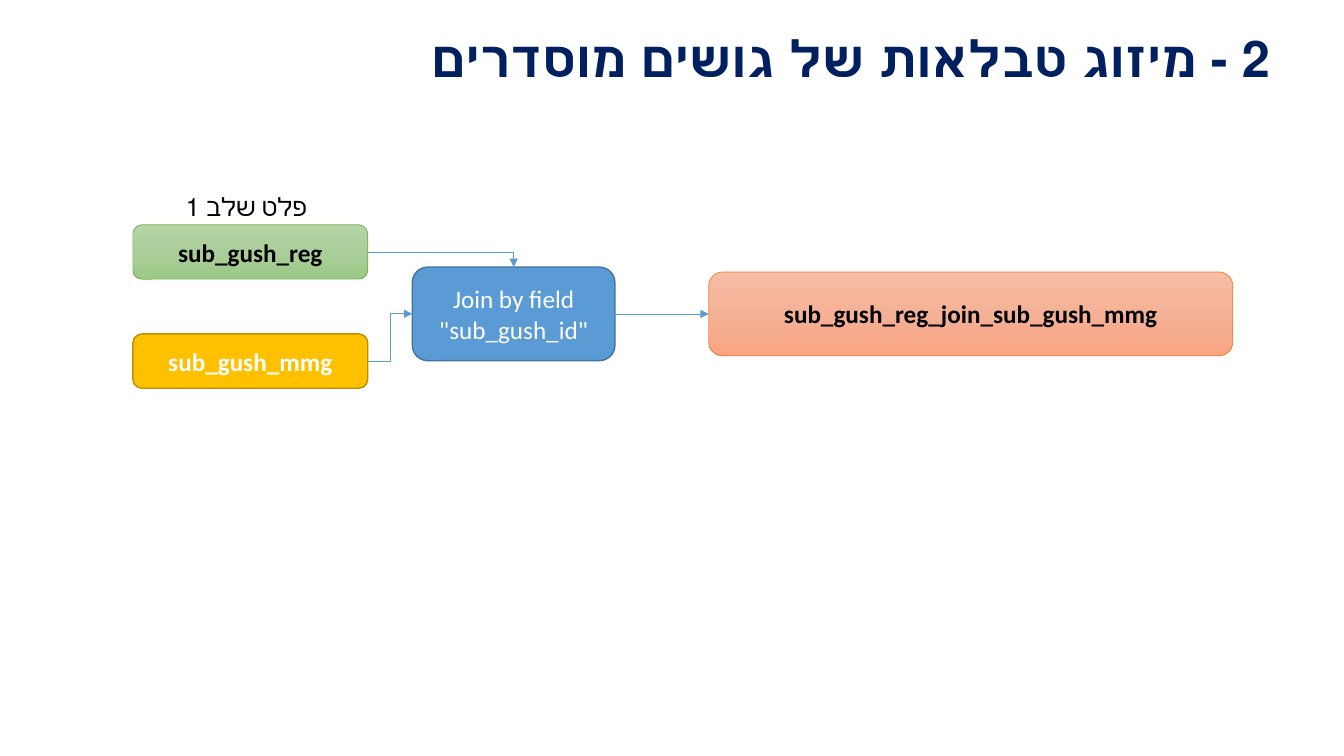
from copy import deepcopy
from pptx import Presentation
from pptx.dml.color import RGBColor as Rgb
from pptx.enum.lang import MSO_LANGUAGE_ID as Lang
from pptx.enum.shapes import MSO_CONNECTOR as Link, MSO_SHAPE as Shape
from pptx.enum.text import MSO_ANCHOR as Anchor, MSO_AUTO_SIZE as Fit, PP_ALIGN as Align
from pptx.oxml.ns import qn
from pptx.oxml.xmlchemy import OxmlElement as Node
from pptx.util import Cm, Pt

HUES = {
    "navy": "002060", "black": "000000", "white": "FFFFFF",
    "blue": "5B9BD5", "steel": "43739E", "gold": "FFC000", "ochre": "BD8E00",
    "green": "70AD47", "orange": "ED7D31",
    "mint": "B5D5A7", "sage": "AACE9A", "leaf": "9CC987",
    "peach": "F7BDA5", "coral": "F5B196", "salmon": "F8A582",
}
TITLE = "2 - מיזוג טבלאות של גושים מוסדרים"
LABEL = "פלט שלב 1"
LEFT, MID = 3.35, 7.91
WIDE, TALL = 5.92, 1.37
BOXES = {
    "reg": ("sub_gush_reg", LEFT, 6.35, WIDE, TALL,
            ["mint", "sage", "leaf"], "green", 0.5, "black", True),
    "mmg": ("sub_gush_mmg", LEFT, 9.1, WIDE, TALL,
            ["gold"], "ochre", 1, "white", True),
    "join": ('Join by field "sub_gush_id"', 10.39, MID, 5.11, 2.36,
             ["blue"], "steel", 1, "white", False),
    "out": ("sub_gush_reg_join_sub_gush_mmg", 17.86, MID, 13.21, 2.11,
            ["peach", "coral", "salmon"], "orange", 0.5, "black", True),
}
TOP, SIDE, RIGHT = 0, 1, 3
LINKS = [
    ("reg", "join", TOP, Link.ELBOW, "bentConnector2"),
    ("mmg", "join", SIDE, Link.ELBOW, "bentConnector3"),
    ("join", "out", SIDE, Link.STRAIGHT, "straightConnector1"),
]


def hue(name):
    return Rgb.from_string(HUES[name])


def write(frame, text, size, color, bold, align):
    frame.word_wrap = True
    par = frame.paragraphs[0]
    par.alignment = align
    run = par.add_run()
    run.text = text
    font = run.font
    font.name, font.size, font.bold = "Calibri", Pt(size), bold
    font.color.rgb = hue(color)
    return par


def paint(box, names):
    fill = box.fill
    if len(names) == 1:
        fill.solid()
        fill.fore_color.rgb = hue(names[0])
        return
    fill.gradient()
    fill.gradient_angle = 270
    stops = box._element.spPr.find(".//" + qn("a:gsLst"))
    stops.insert(1, deepcopy(stops[0]))
    for i, (stop, name) in enumerate(zip(fill.gradient_stops, names)):
        stop.position = i / (len(names) - 1)
        stop.color.rgb = hue(name)


def add_box(slide, text, left, mid, wide, tall, fill, edge, width, color, bold):
    box = slide.shapes.add_shape(
        Shape.ROUNDED_RECTANGLE, Cm(left), Cm(mid - tall / 2), Cm(wide), Cm(tall))
    box.shadow.inherit = False
    paint(box, fill)
    box.line.color.rgb = hue(edge)
    box.line.width = Pt(width)
    box.text_frame.vertical_anchor = Anchor.MIDDLE
    write(box.text_frame, text, 18, color, bold, Align.CENTER)
    return box


def add_link(slide, start, end, site, kind, form):
    link = slide.shapes.add_connector(kind, 0, 0, 0, 0)
    link.begin_connect(start, RIGHT)
    link.end_connect(end, site)
    link.line.color.rgb = hue("blue")
    link.line.width = Pt(0.5)
    props = link._element.spPr
    props.find(qn("a:prstGeom")).set("prst", form)
    head = Node("a:tailEnd")
    head.set("type", "triangle")
    props.find(qn("a:ln")).append(head)
    props.append(Node("a:effectLst"))


def add_hebrew(slide, text, area, size, color, bold, align):
    box = slide.shapes.add_textbox(*map(Cm, area))
    par = write(box.text_frame, text, size, color, bold, align)
    par._p.get_or_add_pPr().set("rtl", "1")
    par.runs[0].font.language_id = Lang.HEBREW
    return box.text_frame, par


def main():
    deck = Presentation()
    deck.slide_width, deck.slide_height = Cm(33.87), Cm(19.05)
    slide = deck.slides.add_slide(deck.slide_layouts[6])
    frame, par = add_hebrew(slide, TITLE, (1.57, 0.69, 30.68, 1.73),
                            36, "navy", True, Align.RIGHT)
    frame.vertical_anchor = Anchor.MIDDLE
    par.line_spacing = 0.9
    boxes = {key: add_box(slide, *spec) for key, spec in BOXES.items()}
    for start, end, *rest in LINKS:
        add_link(slide, boxes[start], boxes[end], *rest)
    frame, par = add_hebrew(slide, LABEL, (4.27, 4.7, 3.71, 1.02),
                            18, "black", False, Align.JUSTIFY)
    frame.auto_size = Fit.SHAPE_TO_FIT_TEXT
    deck.save("out.pptx")


if __name__ == "__main__":
    main()
